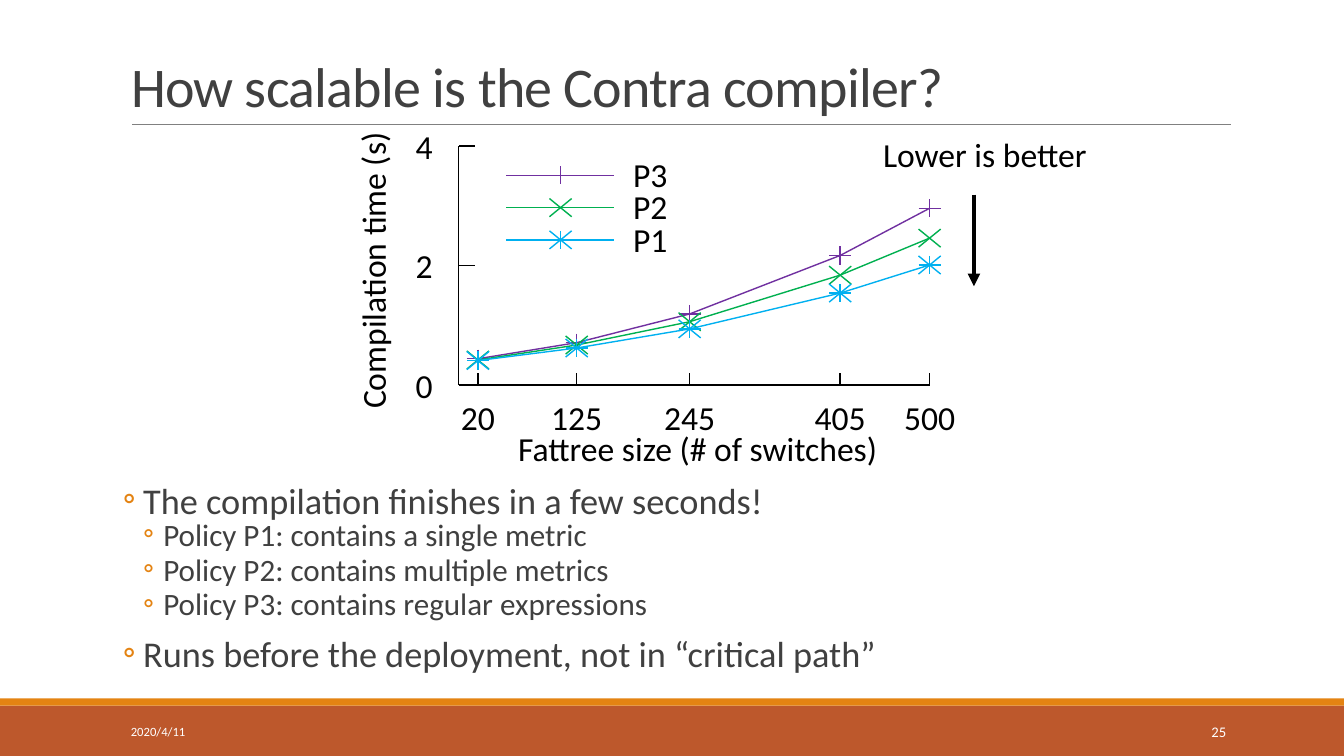
from collections import namedtuple

from lxml import etree
from pptx import Presentation
from pptx.dml.color import RGBColor
from pptx.enum.shapes import MSO_CONNECTOR, MSO_SHAPE
from pptx.enum.text import MSO_ANCHOR, MSO_AUTO_SIZE, PP_ALIGN
from pptx.oxml.ns import qn
from pptx.util import Inches, Pt

STRAIGHT = MSO_CONNECTOR.STRAIGHT
RECTANGLE = MSO_SHAPE.RECTANGLE
TOP, MIDDLE, BOTTOM = MSO_ANCHOR.TOP, MSO_ANCHOR.MIDDLE, MSO_ANCHOR.BOTTOM
LEFT, CENTER, RIGHT = PP_ALIGN.LEFT, PP_ALIGN.CENTER, PP_ALIGN.RIGHT
NO_AUTOFIT = MSO_AUTO_SIZE.NONE

FONT = "Calibri"
BLACK = RGBColor(0x00, 0x00, 0x00)
WHITE = RGBColor(0xFF, 0xFF, 0xFF)
GRAY = RGBColor(0x80, 0x80, 0x80)
DARK_GRAY = RGBColor(0x40, 0x40, 0x40)
ORANGE = RGBColor(0xE4, 0x83, 0x12)
RUST = RGBColor(0xBD, 0x58, 0x2C)
PURPLE = RGBColor(0x70, 0x30, 0xA0)
GREEN = RGBColor(0x00, 0xB0, 0x50)
BLUE = RGBColor(0x00, 0xB0, 0xF0)

Box = namedtuple("Box", "left top width height")

# Marker strokes as directions from the marker centre
PLUS = [(1, 0), (0, 1)]
CROSS = [(1, 1), (1, -1)]
MARKER_X, MARKER_Y = 0.11, 0.09

SWITCHES = [20, 125, 245, 405, 500]
SECONDS = [4, 2, 0]
SERIES = [
    ("P3", PURPLE, PLUS, [0.44, 0.71, 1.19, 2.17, 2.96]),
    ("P2", GREEN, CROSS, [0.42, 0.67, 1.06, 1.84, 2.46]),
    ("P1", BLUE, PLUS + CROSS, [0.41, 0.62, 0.94, 1.54, 2.01]),
]
BULLETS = [
    (0, "The compilation finishes in a few seconds!"),
    (1, "Policy P1: contains a single metric"),
    (1, "Policy P2: contains multiple metrics"),
    (1, "Policy P3: contains regular expressions"),
    (0, "Runs before the deployment, not in “critical path”"),
]
# Size, space before, space after and text indent of each bullet level
LEVELS = [(25.9, 12, 2, 0.22), (22.2, 2, 4, 0.42)]


def add_run(paragraph, text, size, color):
    run = paragraph.add_run()
    run.text = text
    run.font.name = FONT
    run.font.size = Pt(size)
    run.font.color.rgb = color
    return run


def add_line(shapes, start, end, color, width=1):
    line = shapes.add_connector(STRAIGHT, *map(Inches, start + end))
    line.line.color.rgb = color
    line.line.width = Pt(width)
    etree.SubElement(line._element.spPr, qn("a:effectLst"))
    return line


def add_label(shapes, box, text, size=24, color=BLACK, align=LEFT, anchor=TOP, wrap=False):
    label = shapes.add_textbox(*map(Inches, box))
    frame = label.text_frame
    frame.word_wrap = wrap
    frame.vertical_anchor = anchor
    frame.paragraphs[0].alignment = align
    add_run(frame.paragraphs[0], text, size, color)
    return label


def add_title(slide, box):
    title = slide.shapes.title
    title.left, title.top, title.width, title.height = map(Inches, box)
    frame = title.text_frame
    frame.auto_size = NO_AUTOFIT
    frame.vertical_anchor = BOTTOM
    paragraph = frame.paragraphs[0]
    paragraph.alignment = LEFT
    paragraph.line_spacing = 0.85
    run = add_run(paragraph, "How scalable is the Contra compiler?", 40, DARK_GRAY)
    run.font._element.set("spc", "-50")
    # Rule under the title
    rule_y = box.top + box.height
    add_line(slide.shapes, (box.left + 0.11, rule_y), (box.left + 11.01, rule_y), GRAY, 0.5)


def add_marker(shapes, x, y, strokes, color):
    for across, down in strokes:
        dx, dy = across * MARKER_X, down * MARKER_Y
        add_line(shapes, (x - dx, y - dy), (x + dx, y + dy), color)


def add_axes(slide, plot, x_of, y_of):
    shapes = slide.shapes.add_group_shape().shapes
    bottom = plot.top + plot.height
    add_line(shapes, (plot.left, bottom), (plot.left + plot.width, bottom), BLACK)
    add_line(shapes, (plot.left, bottom), (plot.left, plot.top), BLACK)
    # Ticks and their labels
    for count in SWITCHES:
        x, text = x_of(count), str(count)
        add_line(shapes, (x, bottom), (x, bottom - 0.12), BLACK)
        width = 0.2 + 0.17 * len(text)
        add_label(shapes, Box(x - width / 2, bottom + 0.07, width, 0.5), text, align=CENTER)
    for value in SECONDS:
        y = y_of(value)
        if value:
            add_line(shapes, (plot.left + 0.16, y), (plot.left, y), BLACK)
        add_label(shapes, Box(plot.left - 0.53, y - 0.25, 0.37, 0.5), str(value), align=RIGHT)
    # Axis titles
    add_label(shapes, Box(plot.left + 0.49, bottom + 0.38, 3.8, 0.5),
              "Fattree size (# of switches)")
    axis_title = add_label(shapes, Box(plot.left - 2.34, plot.top + 0.97, 2.97, 0.5),
                           "Compilation time (s)")
    axis_title.rotation = 270


def add_series(slide, x_of, y_of, color, strokes, values):
    shapes = slide.shapes.add_group_shape().shapes
    points = [(x_of(count), y_of(value)) for count, value in zip(SWITCHES, values)]
    for x, y in points:
        add_marker(shapes, x, y, strokes, color)
    for start, end in zip(points, points[1:]):
        add_line(shapes, start, end, color)


def add_legend_entry(slide, box, name, color, strokes):
    shapes = slide.shapes.add_group_shape().shapes
    y = box.top + box.height / 2
    add_marker(shapes, box.left + 0.54, y, strokes, color)
    add_line(shapes, (box.left, y), (box.left + 1.07, y), color)
    add_label(shapes, Box(box.left + 1.16, y - 0.26, 0.55, 0.5), name)


def add_plot(slide, plot):
    def x_of(count):
        first, last = SWITCHES[0], SWITCHES[-1]
        return plot.left + 0.19 + (count - first) / (last - first) * (plot.width - 0.19)

    def y_of(value):
        return plot.top + plot.height * (1 - value / SECONDS[0])

    add_axes(slide, plot, x_of, y_of)
    for index, (name, color, strokes, values) in enumerate(SERIES):
        add_series(slide, x_of, y_of, color, strokes, values)
        entry = Box(plot.left + 0.47, plot.top + 0.13 + 0.32 * index, 1.71, 0.32)
        add_legend_entry(slide, entry, name, color, strokes)


def add_hint(slide, box):
    add_label(slide.shapes, Box(box.left, box.top, box.width, 0.5), "Lower is better", wrap=True)
    x = box.left + 1
    arrow = add_line(slide.shapes, (x, box.top + 0.65), (x, box.top + box.height), BLACK, 3)
    etree.SubElement(arrow.line._get_or_add_ln(), qn("a:tailEnd"), type="triangle")


def add_bullets(slide, box):
    frame = slide.shapes.add_textbox(*map(Inches, box)).text_frame
    frame.word_wrap = True
    frame.margin_left = frame.margin_right = 0
    for index, (level, text) in enumerate(BULLETS):
        paragraph = frame.add_paragraph() if index else frame.paragraphs[0]
        size, before, after, indent = LEVELS[level]
        paragraph.level = level
        paragraph.line_spacing = 0.7
        paragraph.space_before = Pt(before if index else 0)
        paragraph.space_after = Pt(after)
        properties = paragraph._p.get_or_add_pPr()
        properties.set("marL", str(Inches(indent)))
        properties.set("indent", str(Inches(-0.2)))
        bullet_color = etree.SubElement(properties, qn("a:buClr"))
        etree.SubElement(bullet_color, qn("a:srgbClr"), val=str(ORANGE))
        etree.SubElement(properties, qn("a:buFont"), typeface=FONT)
        etree.SubElement(properties, qn("a:buChar"), char="◦")
        add_run(paragraph, text, size, DARK_GRAY)


def add_footer(slide, box):
    stripe = Box(box.left, box.top, box.width, 0.07)
    band = Box(box.left, box.top + 0.07, box.width, box.height - 0.07)
    for area, color in ((band, RUST), (stripe, ORANGE)):
        bar = slide.shapes.add_shape(RECTANGLE, *map(Inches, area))
        bar.shadow.inherit = False
        bar.fill.solid()
        bar.fill.fore_color.rgb = color
        bar.line.fill.background()
    text_top = box.top + 0.13
    add_label(slide.shapes, Box(box.left + 1.2, text_top, 2.7, 0.4), "2020/4/11",
              9, WHITE, LEFT, MIDDLE, True)
    add_label(slide.shapes, Box(box.left + 10.83, text_top, 1.43, 0.4), "25",
              10.5, WHITE, RIGHT, MIDDLE, True)


def main():
    presentation = Presentation()
    presentation.slide_width, presentation.slide_height = Inches(13.33), Inches(7.5)
    slide = presentation.slides.add_slide(presentation.slide_layouts[5])
    add_footer(slide, Box(0, 6.93, 13.33, 0.57))
    add_title(slide, Box(1.2, 0.31, 11, 0.92))
    add_bullets(slide, Box(1.2, 4.81, 11, 2.13))
    add_hint(slide, Box(8.66, 1.28, 2.24, 1.56))
    add_plot(slide, Box(4.55, 1.45, 4.67, 2.37))
    presentation.save("out.pptx")


if __name__ == "__main__":
    main()
